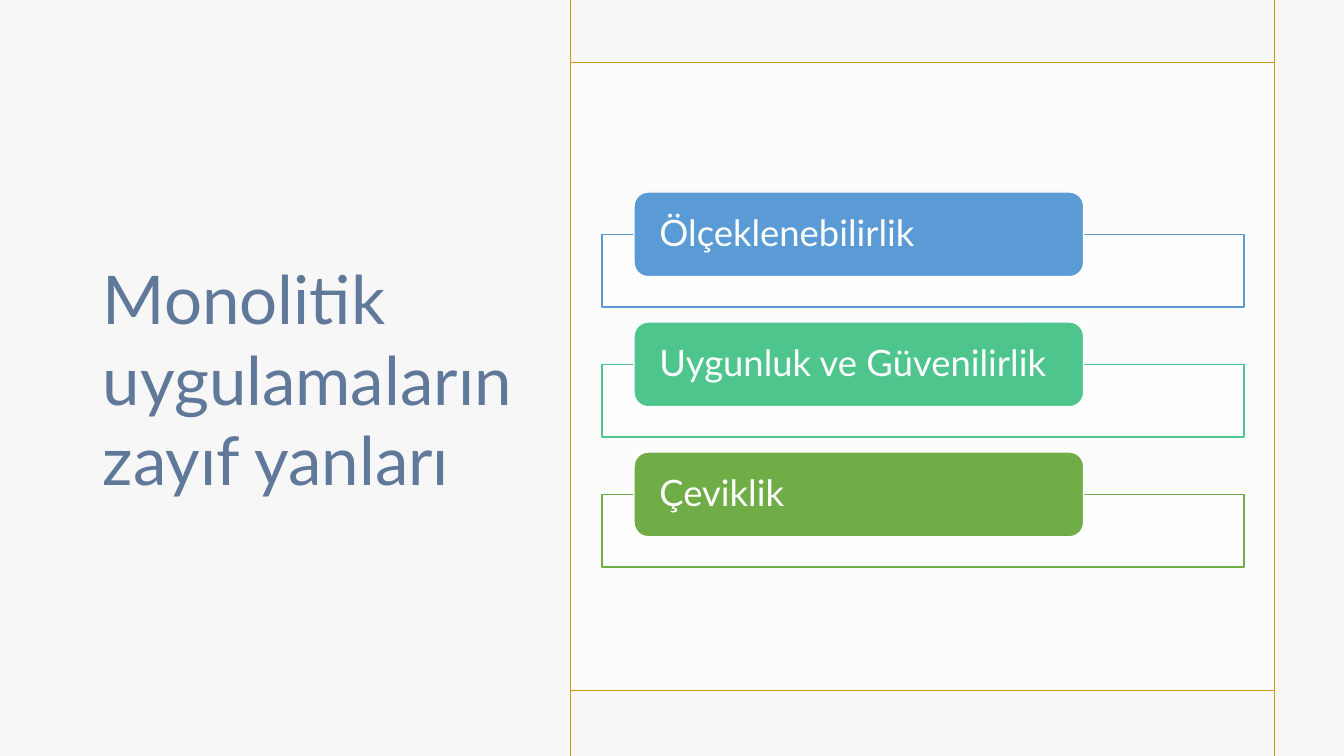
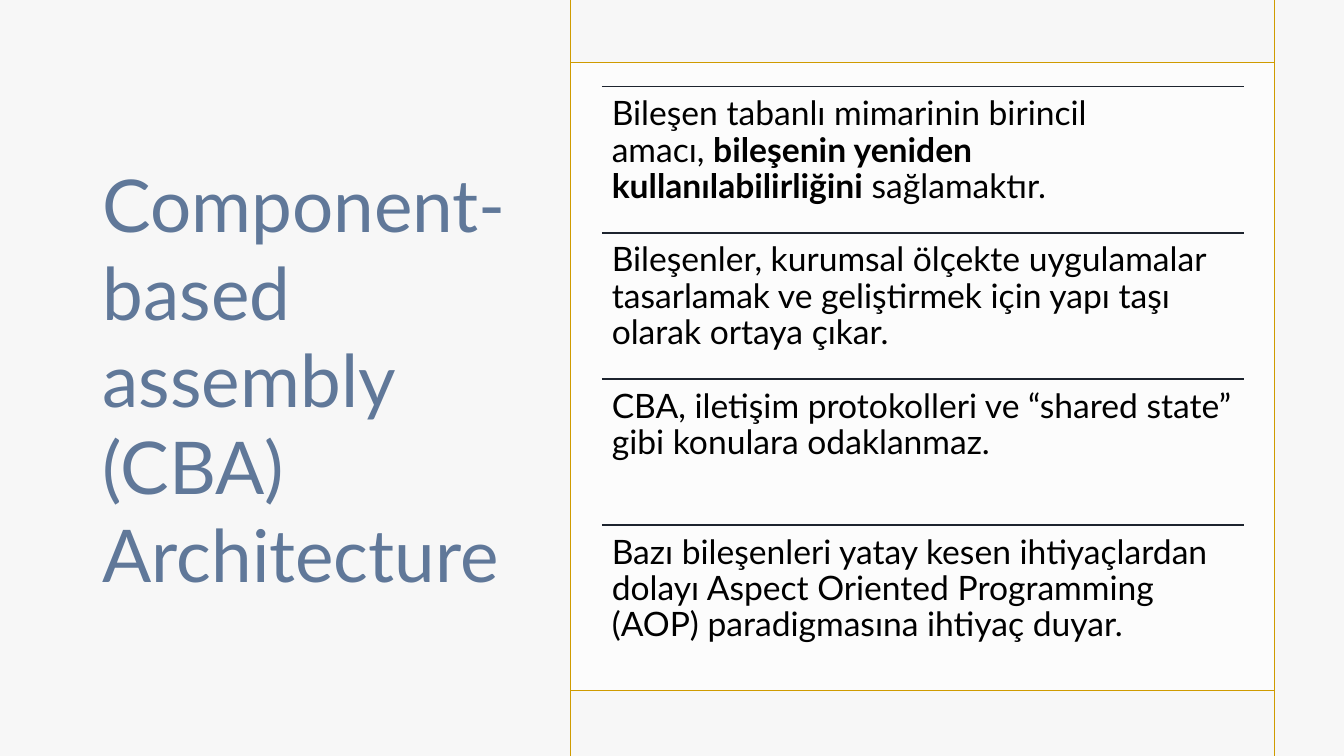
from lxml.etree import SubElement
from pptx import Presentation
from pptx.dml.color import RGBColor
from pptx.enum.shapes import MSO_CONNECTOR, MSO_SHAPE
from pptx.enum.text import MSO_ANCHOR, MSO_AUTO_SIZE, PP_ALIGN
from pptx.oxml.ns import qn
from pptx.util import Inches, Pt

PAPER = RGBColor(0xF7, 0xF7, 0xF7)
WHITE = RGBColor(0xFF, 0xFF, 0xFF)
BLACK = RGBColor(0x00, 0x00, 0x00)
GOLD = RGBColor(0xCF, 0x9B, 0x00)
SLATE = RGBColor(0x60, 0x78, 0x99)
INK = RGBColor(0x1D, 0x24, 0x2E)
BLUE = RGBColor(0x5B, 0x9B, 0xD5)
MINT = RGBColor(0x4D, 0xC5, 0x8D)
GREEN = RGBColor(0x70, 0xAD, 0x47)

FONT = "Lato"
NO_BREAK_SPACE = chr(160)

# Lengths are percentages of the slide's width and height
PANEL_LEFT, PANEL_RIGHT = 42.45, 94.85
PANEL_TOP, PANEL_BOTTOM = 8.27, 91.33
CONTENT_LEFT, CONTENT_WIDTH = 44.78, 47.78
TITLE_AREA = (6.9, 8.53, 33.75, 83.07)


class Deck:
    """Holds the shared style and the current page."""

    def __init__(self):
        self.deck = Presentation()
        self.deck.slide_width = Inches(13.33)
        self.deck.slide_height = Inches(7.5)
        self.page = None

    def across(self, share):
        return round(self.deck.slide_width * share / 100)

    def down(self, share):
        return round(self.deck.slide_height * share / 100)

    def area(self, left, top, width, height):
        return (self.across(left), self.down(top),
                self.across(width), self.down(height))

    def add_page(self, title, size):
        self.page = self.deck.slides.add_slide(self.deck.slide_layouts[5])
        background = self.page.background.fill
        background.solid()
        background.fore_color.rgb = PAPER
        self.title(title, size)
        self.panel()

    def title(self, text, size):
        box = self.page.shapes.title
        box.left, box.top, box.width, box.height = self.area(*TITLE_AREA)
        self.set_text(box.text_frame, [(text, False)], size, SLATE)

    def panel(self):
        """White panel framed by two gold rules each way."""
        self.shape(MSO_SHAPE.RECTANGLE,
                   (PANEL_LEFT, PANEL_TOP, PANEL_RIGHT - PANEL_LEFT,
                    PANEL_BOTTOM - PANEL_TOP), WHITE, opacity=75)
        for top in (PANEL_TOP, PANEL_BOTTOM):
            self.line((PANEL_LEFT, top), (PANEL_RIGHT, top), GOLD)
        for left in (PANEL_LEFT, PANEL_RIGHT):
            self.line((left, 0), (left, 100), GOLD)

    def shape(self, preset, area, fill, outline=None, opacity=100):
        shape = self.page.shapes.add_shape(preset, *self.area(*area))
        shape.shadow.inherit = False
        shape.fill.solid()
        shape.fill.fore_color.rgb = fill
        if opacity < 100:
            color = shape._element.spPr.find(qn("a:solidFill"))[0]
            SubElement(color, qn("a:alpha"), val=str(opacity * 1000))
        if outline is None:
            shape.line.fill.background()
        else:
            shape.line.color.rgb = outline
            shape.line.width = Pt(1)
        return shape

    def line(self, start, end, color):
        line = self.page.shapes.add_connector(
            MSO_CONNECTOR.STRAIGHT, self.across(start[0]), self.down(start[1]),
            self.across(end[0]), self.down(end[1]))
        line.line.color.rgb = color
        line.line.width = Pt(1)
        SubElement(line._element.spPr, qn("a:effectLst"))

    def set_text(self, frame, spans, size, color, spacing=1.0, **frame_format):
        frame_format = {"word_wrap": True, "auto_size": MSO_AUTO_SIZE.NONE,
                        "vertical_anchor": MSO_ANCHOR.MIDDLE, **frame_format}
        for name, value in frame_format.items():
            setattr(frame, name, value)
        para = frame.paragraphs[0]
        para.alignment = PP_ALIGN.LEFT
        para.line_spacing = spacing
        for text, bold in spans:
            span = para.add_run()
            span.text = text
            span.font.color.rgb = color
            for name, value in {"name": FONT, "size": Pt(size), "bold": bold}.items():
                setattr(span.font, name, value)

    def card(self, top, text, color):
        """Rounded label sitting on the top edge of an outlined box."""
        self.shape(MSO_SHAPE.RECTANGLE, (CONTENT_LEFT, top + 5.6, CONTENT_WIDTH, 9.6),
                   WHITE, color, opacity=90)
        label = self.shape(MSO_SHAPE.ROUNDED_RECTANGLE, (47.18, top, 33.45, 11.2),
                           color, WHITE)
        self.set_text(label.text_frame, [(text, False)], 26, WHITE, 0.9,
                      margin_left=Inches(0.21), margin_right=Inches(0.21),
                      margin_top=0, margin_bottom=0)

    def ruled_text(self, top, height, spans):
        """Paragraph under a dark rule."""
        self.line((CONTENT_LEFT, top), (CONTENT_LEFT + CONTENT_WIDTH, top), INK)
        box = self.page.shapes.add_textbox(
            *self.area(CONTENT_LEFT, top, CONTENT_WIDTH, height))
        margins = dict.fromkeys(
            ("margin_left", "margin_top", "margin_right", "margin_bottom"), Inches(0.1))
        self.set_text(box.text_frame, spans, 24, BLACK, 0.9,
                      vertical_anchor=MSO_ANCHOR.TOP, **margins)


def main():
    deck = Deck()

    # Weaknesses of monoliths: three cards
    deck.add_page("Monolitik uygulamaların zayıf yanları", 48)
    cards = [("Ölçeklenebilirlik", BLUE),
             ("Uygunluk ve Güvenilirlik", MINT),
             ("Çeviklik", GREEN)]
    for row, (text, color) in enumerate(cards):
        deck.card(25.4 + row * 17.2, text, color)

    # Component-based architecture: four ruled paragraphs
    deck.add_page("Component-based assembly (CBA) Architecture", 52)
    statements = [
        [("Bileşen tabanlı mimarinin birincil amacı," + NO_BREAK_SPACE, False),
         ("bileşenin yeniden kullanılabilirliğini", True),
         (NO_BREAK_SPACE + "sağlamaktır.", False)],
        [("Bileşenler, kurumsal ölçekte uygulamalar tasarlamak ve geliştirmek "
          "için yapı taşı olarak ortaya çıkar.", False)],
        [("CBA, iletişim protokolleri ve “shared state” gibi konulara "
          "odaklanmaz.", False)],
        [("Bazı bileşenleri yatay kesen ihtiyaçlardan dolayı Aspect Oriented "
          "Programming (AOP) paradigmasına ihtiyaç duyar.", False)],
    ]
    height = 19.33
    for row, spans in enumerate(statements):
        deck.ruled_text(11.47 + row * height, height, spans)

    deck.deck.save("out.pptx")


if __name__ == "__main__":
    main()
